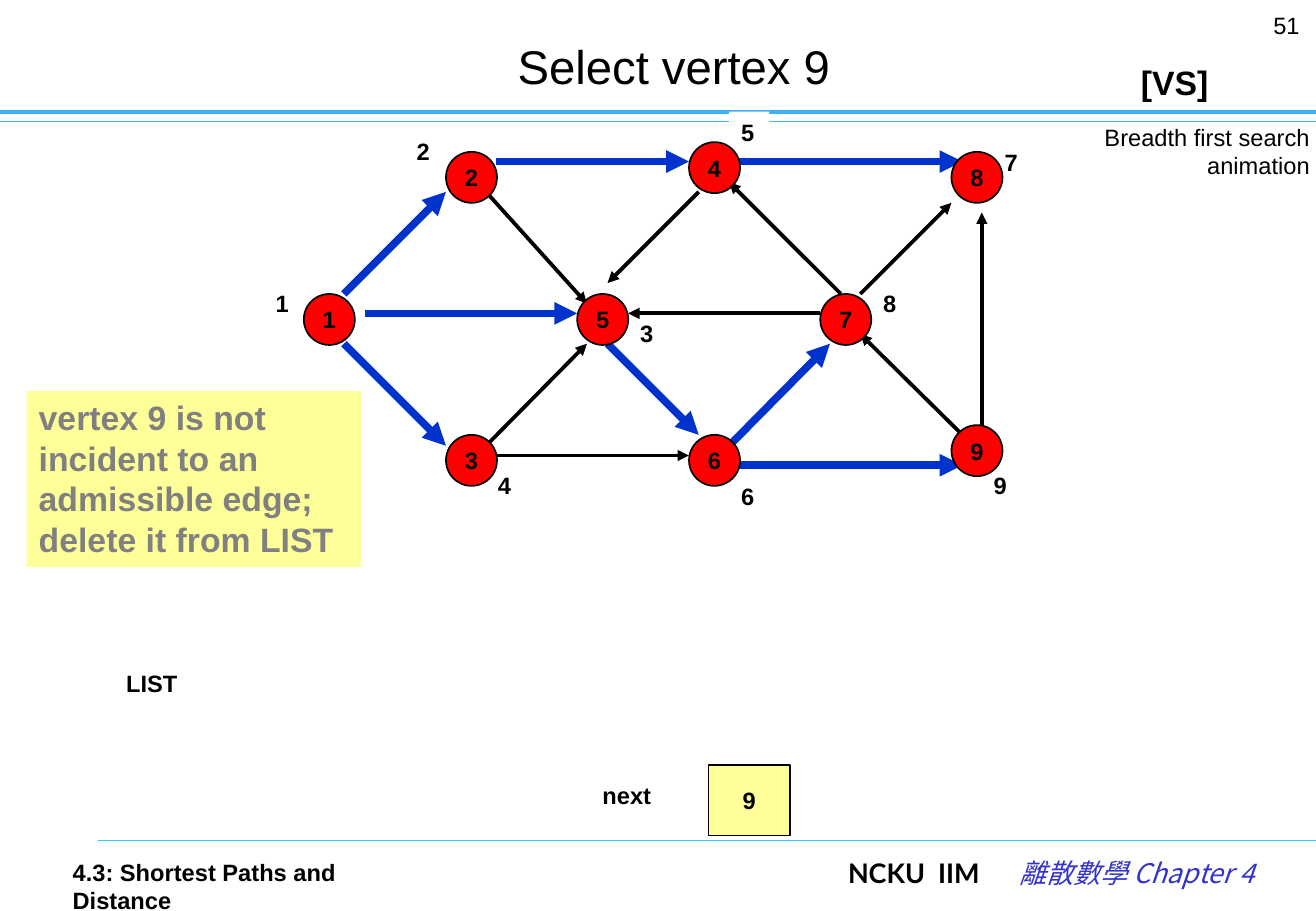
import pptx
import pptx.util
import pptx.dml.color
import pptx.enum.shapes
import pptx.enum.text
import pptx.oxml.ns
from dataclasses import dataclass
from lxml import etree

Inches = pptx.util.Inches
Pt = pptx.util.Pt
Shape = pptx.enum.shapes.MSO_SHAPE
Align = pptx.enum.text.PP_ALIGN
Anchor = pptx.enum.text.MSO_ANCHOR
qn = pptx.oxml.ns.qn


@dataclass(frozen=True)
class Theme:
    font: str = "Arial"
    latin_footer: str = "Lato"
    cjk_footer: str = "Noto Sans CJK SC"
    black: str = "000000"
    white: str = "FFFFFF"
    vertex: str = "FF0000"
    note: str = "FFFF99"
    note_text: str = "808080"
    tree: str = "0033CC"
    rule: str = "3DB0FF"
    footer_rule: str = "33CCFF"
    chapter: str = "3333CC"
    title_size: int = 28
    large: int = 20
    footer_size: int = 16
    body: int = 14


T = Theme()
VERTEX_SIZE = 0.42
LABEL_SIZE = (0.33, 0.34)

# Vertex number: top left corner of its circle
VERTICES = {
    1: (2.5, 2.42), 2: (3.67, 1.25), 3: (3.67, 3.58),
    4: (5.67, 1.17), 5: (4.75, 2.42), 6: (5.67, 3.58),
    7: (6.75, 2.42), 8: (7.83, 1.25), 9: (7.83, 3.5),
}
# Order of visit: top left corner of its label
VISIT_LABELS = {
    1: (2.17, 2.33), 2: (3.33, 1.08), 3: (5.17, 2.58),
    4: (4, 3.83), 5: (6, 0.92), 6: (6, 3.92),
    7: (8.17, 1.17), 8: (7.17, 2.33), 9: (8.08, 3.83),
}
# Edges as (start, end)
PLAIN_EDGES = [
    ((7.08, 2.42), (7.83, 1.67)),
    ((6.92, 2.42), (6, 1.5)),
    ((5.75, 1.58), (5, 2.33)),
    ((4, 3.67), (4.83, 2.83)),
    ((4.08, 3.75), (5.67, 3.75)),
    ((7.92, 3.58), (7.08, 2.75)),
    ((8.08, 3.5), (8.08, 1.75)),
    ((6.75, 2.58), (5.17, 2.58)),
    ((4, 1.58), (4.83, 2.5)),
]
TREE_EDGES = [
    ((2.83, 2.42), (3.67, 1.58)),
    ((3, 2.58), (4.75, 2.58)),
    ((2.83, 2.83), (3.67, 3.67)),
    ((4.08, 1.33), (5.67, 1.33)),
    ((5, 2.83), (5.75, 3.58)),
    ((6.08, 1.33), (7.92, 1.33)),
    ((6, 3.67), (6.83, 2.83)),
    ((6.08, 3.83), (7.92, 3.83)),
]


def rgb(value):
    return pptx.dml.color.RGBColor.from_string(value)


def write(sp, text, size=T.body, color=T.black, bold=True, italic=False, font=T.font,
          align=Align.LEFT, anchor=Anchor.TOP, wrap=True, margin=0.1):
    tf = sp.text_frame
    tf.word_wrap = wrap
    tf.vertical_anchor = anchor
    tf.margin_left = tf.margin_right = Inches(margin)
    tf.margin_top = tf.margin_bottom = Inches(0.05)
    p = tf.paragraphs[0]
    p.alignment = align
    r = p.add_run()
    r.text = text
    r.font.size = Pt(size)
    r.font.bold = bold
    r.font.italic = italic
    r.font.name = font
    r.font.color.rgb = rgb(color)
    etree.SubElement(r.font._element, qn("a:ea"), typeface=font)


def add_text(s, text, x, y, w, h, **fmt):
    sp = s.shapes.add_textbox(Inches(x), Inches(y), Inches(w), Inches(h))
    write(sp, text, **fmt)


def add_box(s, kind, text, x, y, w, h, fill, outlined=False, **fmt):
    sp = s.shapes.add_shape(kind, Inches(x), Inches(y), Inches(w), Inches(h))
    sp.shadow.inherit = False
    sp.fill.solid()
    sp.fill.fore_color.rgb = rgb(fill)
    if outlined:
        sp.line.color.rgb = rgb(T.black)
        sp.line.width = Pt(1)
    else:
        sp.line.fill.background()
    write(sp, text, **fmt)


def add_line(s, start, end, color, width, arrow=False):
    points = [Inches(v) for v in (*start, *end)]
    line = s.shapes.add_connector(pptx.enum.shapes.MSO_CONNECTOR.STRAIGHT, *points)
    line.line.color.rgb = rgb(color)
    line.line.width = Pt(width)
    if arrow:
        etree.SubElement(line.line._get_or_add_ln(), qn("a:tailEnd"), type="triangle")
    etree.SubElement(line._element.spPr, qn("a:effectLst"))


def add_title(s, text):
    sp = s.shapes.title
    sp.left, sp.top, sp.width, sp.height = map(Inches, (0.92, 0.25, 9.25, 0.58))
    write(sp, text, size=T.title_size, bold=False, align=Align.CENTER, anchor=Anchor.MIDDLE)


def add_graph(s):
    for number, (x, y) in VISIT_LABELS.items():
        add_box(s, Shape.RECTANGLE, str(number), x, y, *LABEL_SIZE, T.white)
    for edges, color, width in ((PLAIN_EDGES, T.black, 2.25), (TREE_EDGES, T.tree, 4.5)):
        for start, end in edges:
            add_line(s, start, end, color, width, arrow=True)
    for number, (x, y) in VERTICES.items():
        add_box(s, Shape.OVAL, str(number), x, y, VERTEX_SIZE, VERTEX_SIZE, T.vertex,
                outlined=True, align=Align.CENTER, anchor=Anchor.MIDDLE, wrap=False)


def main():
    prs = pptx.Presentation()
    prs.slide_width, prs.slide_height = Inches(10.83), Inches(7.5)
    s = prs.slides.add_slide(prs.slide_layouts[5])

    # Header and footer rules
    add_line(s, (0, 1), (10.83, 1), T.rule, 0.75)
    add_line(s, (0, 0.92), (10.83, 0.92), T.rule, 2.5)
    add_line(s, (0.81, 6.92), (10.83, 6.92), T.footer_rule, 0.75)

    # Graph
    add_graph(s)

    # Header
    add_title(s, "Select vertex 9")
    add_text(s, "51", 10.38, 0.04, 0.45, 0.42, bold=False)
    add_text(s, "[VS]", 9.29, 0.46, 0.76, 0.44, size=T.large, wrap=False)
    add_text(s, "Breadth first search animation", 8.4, 0.96, 2.43, 0.5,
             bold=False, align=Align.RIGHT, margin=0.05)

    # Note and list of vertices
    add_box(s, Shape.RECTANGLE, "vertex 9 is not incident to an admissible edge; delete it from LIST",
            0.22, 3.22, 2.75, 1.45, T.note, size=T.large, color=T.note_text)
    add_text(s, "LIST", 0.94, 5.46, 0.62, 0.34, wrap=False)
    add_text(s, "next", 4.86, 6.38, 0.6, 0.34, wrap=False)
    add_box(s, Shape.RECTANGLE, "9", 5.83, 6.3, 0.67, 0.58, T.note, outlined=True,
            align=Align.CENTER, anchor=Anchor.MIDDLE, wrap=False)

    # Footer
    add_text(s, "4.3: Shortest Paths and Distance", 0.5, 7.01, 3.1, 0.33)
    add_text(s, "NCKU  IIM", 6.66, 7, 1.5, 0.4, size=T.footer_size,
             font=T.latin_footer, align=Align.RIGHT)
    add_text(s, "離散數學 Chapter 4", 8.12, 7, 2.3, 0.4, size=T.footer_size, color=T.chapter,
             bold=False, italic=True, font=T.cjk_footer, align=Align.RIGHT)

    prs.save("out.pptx")


if __name__ == "__main__":
    main()
